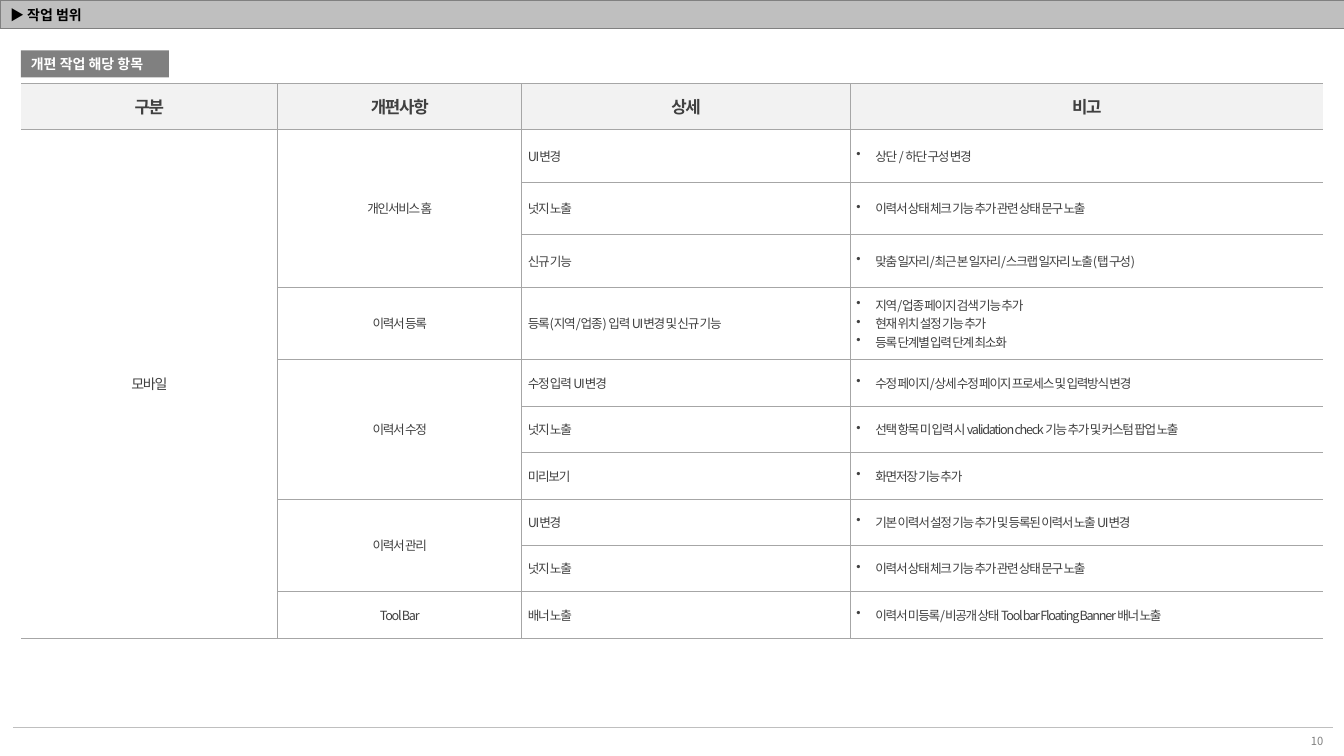
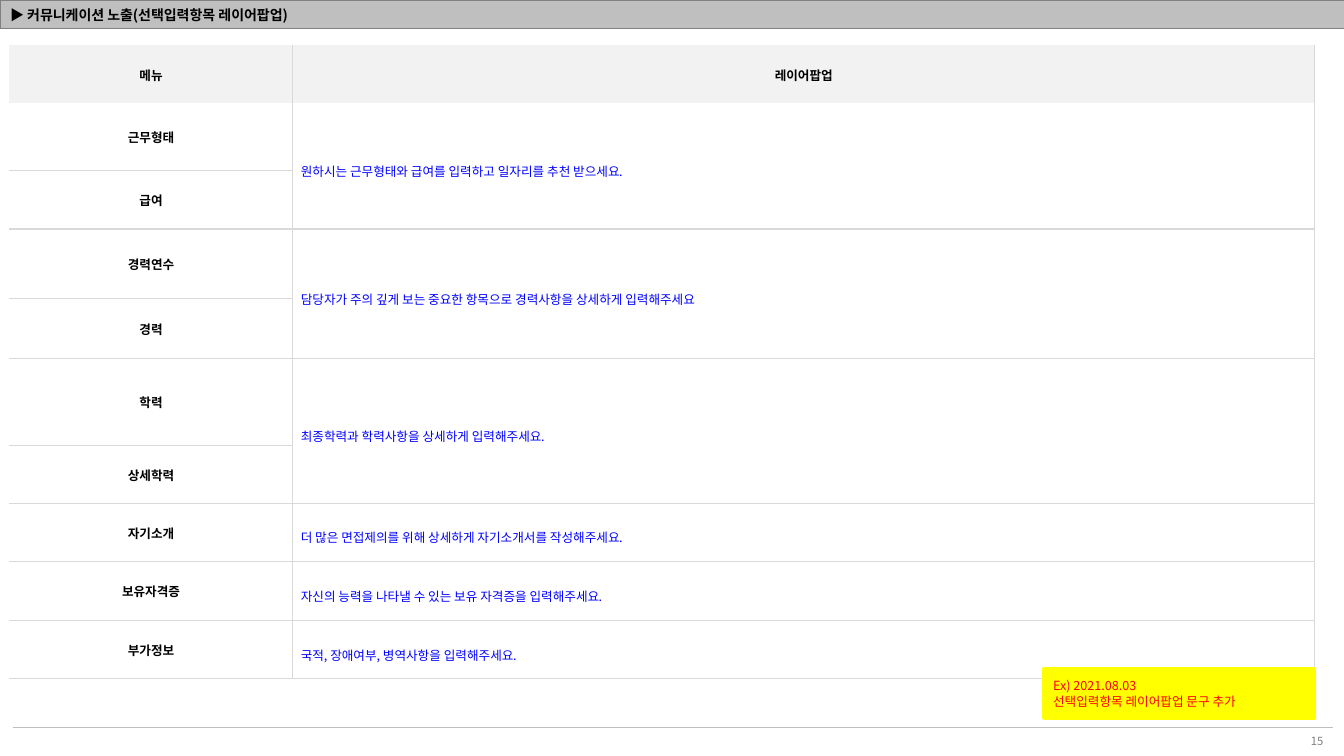
from lxml.etree import SubElement
from pptx import Presentation
from pptx.dml.color import RGBColor
from pptx.enum.shapes import MSO_CONNECTOR, MSO_SHAPE
from pptx.enum.text import MSO_ANCHOR, MSO_AUTO_SIZE, PP_ALIGN
from pptx.oxml import parse_xml
from pptx.oxml.ns import nsdecls, qn
from pptx.util import Cm, Pt

FONT = "Noto Sans CJK KR"
PLAIN_TABLE = "{2D5ABB26-0587-4C30-8999-92F81FD0307C}"
COLORS = {
    "black": "000000", "white": "FFFFFF", "text": "404040", "label": "808080",
    "band": "BFBFBF", "grid": "A6A6A6", "pale_grid": "D9D9D9", "header": "F2F2F2",
    "message": "0000FF", "note": "FFFF00", "note_text": "FF0000",
}

# Text styles: size and bold go to the font; the rest is read by write()
TITLE = {"size": 10, "bold": True, "color": "black"}
LABEL = {"size": 10, "bold": True, "color": "white"}
PAGE = {"size": 8, "color": "label", "align": PP_ALIGN.RIGHT}
NOTE = {"size": 9, "color": "note_text"}
SCOPE_HEAD = {"size": 12, "bold": True, "color": "text", "spacing": -90,
              "align": PP_ALIGN.CENTER}
SCOPE_DEVICE = {**SCOPE_HEAD, "size": 10, "bold": False}
SCOPE_MENU = {**SCOPE_DEVICE, "size": 9}
SCOPE_DETAIL = {**SCOPE_MENU, "align": PP_ALIGN.JUSTIFY}
SCOPE_REMARK = {**SCOPE_DETAIL, "bullet": True}
POPUP_MENU = {"size": 9, "bold": True, "color": "black", "align": PP_ALIGN.CENTER}
POPUP_MESSAGE = {"size": 9, "color": "message", "line_spacing": 1.5}

SCOPE_CELL = {side: Cm(0.15) for side in
              ("margin_left", "margin_right", "margin_top", "margin_bottom")}
POPUP_CELL = {"margin_left": Cm(0.03), "margin_right": Cm(0.03),
              "margin_top": Cm(0.03), "margin_bottom": 0}
NO_MARGIN = dict.fromkeys(SCOPE_CELL, 0)

SCOPE_HEADINGS = ["구분", "개편사항", "상세", "비고"]
# Menu, row height in cm, then each detail with its remarks
SCOPE_GROUPS = [
    ("개인서비스 홈", 1.32, [
        ("UI변경", ["상단 / 하단 구성 변경"]),
        ("넛지 노출", ["이력서 상태 체크 기능 추가 관련 상태 문구 노출"]),
        ("신규 기능", ["맞춤 일자리/최근 본 일자리/스크랩 일자리 노출(탭 구성)"]),
    ]),
    ("이력서 등록", 1.83, [
        ("등록(지역/업종) 입력 UI변경 및 신규 기능",
         ["지역/업종 페이지 검색 기능 추가", "현재 위치 설정 기능 추가",
          "등록 단계별 입력 단계 최소화"]),
    ]),
    ("이력서 수정", 1.17, [
        ("수정 입력 UI변경", ["수정 페이지/상세 수정 페이지 프로세스 및 입력방식 변경"]),
        ("넛지 노출",
         ["선택 항목 미 입력 시 validation check 기능 추가 및 커스텀 팝업 노출"]),
        ("미리보기", ["화면저장 기능 추가"]),
    ]),
    ("이력서 관리", 1.17, [
        ("UI변경", ["기본 이력서 설정 기능 추가 및 등록된 이력서 노출 UI변경"]),
        ("넛지 노출", ["이력서 상태 체크 기능 추가 관련 상태 문구 노출"]),
    ]),
    ("Tool Bar", 1.17, [
        ("배너 노출", ["이력서 미등록/비공개 상태 Tool bar Floating Banner 배너 노출"]),
    ]),
]

POPUP_HEADINGS = ["메뉴", "레이어팝업"]
# Menus with their row heights in cm, then the message they share
POPUP_GROUPS = [
    ([("근무형태", 1.7), ("급여", 1.47)],
     "원하시는 근무형태와 급여를 입력하고 일자리를 추천 받으세요."),
    ([("경력연수", 1.76), ("경력", 1.5)],
     "담당자가 주의 깊게 보는 중요한 항목으로 경력사항을 상세하게 입력해주세요"),
    ([("학력", 2.19), ("상세학력", 1.46)],
     "최종학력과 학력사항을 상세하게 입력해주세요."),
    ([("자기소개", 1.46)],
     "더 많은 면접제의를 위해 상세하게 자기소개서를 작성해주세요."),
    ([("보유자격증", 1.5)],
     "자신의 능력을 나타낼 수 있는 보유 자격증을 입력해주세요."),
    ([("부가정보", 1.46)], "국적, 장애여부, 병역사항을 입력해주세요."),
]


def rgb(name):
    return RGBColor.from_string(COLORS[name])


def apply(target, values):
    for name, value in values.items():
        setattr(target, name, value)


def add_bullet(paragraph):
    properties = paragraph._p.get_or_add_pPr()
    properties.set("marL", str(Cm(0.48)))
    properties.set("indent", str(-Cm(0.48)))
    SubElement(properties, qn("a:buChar")).set("char", "•")


def write(frame, lines, style):
    """Fill a text frame with one styled paragraph per line."""
    for index, line in enumerate(lines):
        paragraph = frame.add_paragraph() if index else frame.paragraphs[0]
        apply(paragraph, {"alignment": style.get("align", PP_ALIGN.LEFT),
                          "line_spacing": style.get("line_spacing")})
        if style.get("bullet"):
            add_bullet(paragraph)
        run = paragraph.add_run()
        run.text = line
        apply(run.font, {"name": FONT, "size": Pt(style["size"]),
                         "bold": style.get("bold", False)})
        run.font.color.rgb = rgb(style["color"])
        run_properties = run._r.get_or_add_rPr()
        SubElement(run_properties, qn("a:ea")).set("typeface", FONT)
        if "spacing" in style:
            run_properties.set("spc", str(style["spacing"]))


def set_borders(cell, sides, color, width):
    """Draw the sides named in a string such as "LTB"."""
    properties = cell._tc.get_or_add_tcPr()
    for index, side in enumerate("LRTB"):
        fill = (f'<a:solidFill><a:srgbClr val="{COLORS[color]}"/></a:solidFill>'
                if side in sides else "<a:noFill/>")
        properties.insert(index, parse_xml(
            f'<a:ln{side} {nsdecls("a")} w="{Pt(width)}">{fill}</a:ln{side}>'))


def add_table(slide, left, top, widths, heights):
    """Add a table without a preset look; lengths are in cm."""
    holder = slide.shapes.add_table(len(heights), len(widths), Cm(left), Cm(top),
                                    Cm(sum(widths)), Cm(sum(heights)))
    table = holder.table
    apply(table, {"first_row": False, "horz_banding": False})
    for style_id in holder.element.iter(qn("a:tableStyleId")):
        style_id.text = PLAIN_TABLE
    for column, width in zip(table.columns, widths):
        column.width = Cm(width)
    for row, height in zip(table.rows, heights):
        row.height = Cm(height)
    return holder


def format_cell(cell, fill, margins):
    apply(cell, {"vertical_anchor": MSO_ANCHOR.MIDDLE, **margins})
    cell.fill.solid()
    cell.fill.fore_color.rgb = rgb(fill)


def format_grid(table, margins, color, width, sides_at):
    """Fill and border every cell; sides_at(row, column) names its borders."""
    for r, row in enumerate(table.rows):
        for c, cell in enumerate(row.cells):
            format_cell(cell, "white" if r else "header", margins)
            set_borders(cell, sides_at(r, c), color, width)


def merge_down(table, column, first, count):
    cell = table.cell(first, column)
    if count > 1:
        cell.merge(table.cell(first + count - 1, column))
    return cell


def add_box(slide, position, fill, lines, style):
    box = slide.shapes.add_shape(MSO_SHAPE.RECTANGLE, *map(Cm, position))
    box.shadow.inherit = False
    box.fill.solid()
    box.fill.fore_color.rgb = rgb(fill)
    box.line.fill.background()
    apply(box.text_frame, {"word_wrap": True, "vertical_anchor": MSO_ANCHOR.MIDDLE})
    write(box.text_frame, lines, style)
    return box


def set_up_layout(layout, slide):
    """Place the title, and move the band and footer rule to the layout."""
    title = layout.placeholders[0]
    apply(title, {"left": 0, "top": 0, "width": Cm(25.2), "height": Cm(0.74)})
    band = add_table(slide, 0, 0, [33.87], [0.72])
    cell = band.table.cell(0, 0)
    format_cell(cell, "band", NO_MARGIN)
    set_borders(cell, "LRTB", "label", 0.25)
    end = SubElement(cell.text_frame.paragraphs[0]._p, qn("a:endParaRPr"))
    end.set("sz", "800")
    rule = slide.shapes.add_connector(MSO_CONNECTOR.STRAIGHT, Cm(0.33), Cm(18.32),
                                      Cm(33.6), Cm(18.32))
    rule.line.color.rgb = rgb("band")
    rule.line.width = Pt(0.75)
    SubElement(rule.element.spPr, qn("a:effectLst"))
    for shared in (band, rule):
        layout.element.cSld.spTree.append(shared.element)


def add_heading(slide, title, page):
    frame = slide.shapes.title.text_frame
    apply(frame, {"word_wrap": True, "auto_size": MSO_AUTO_SIZE.NONE,
                  "vertical_anchor": MSO_ANCHOR.MIDDLE})
    write(frame, [title], TITLE)
    number = slide.shapes.add_textbox(Cm(32.4), Cm(18.39), Cm(1.2), Cm(0.53))
    number.text_frame.word_wrap = True
    write(number.text_frame, [page], PAGE)


def add_scope_table(slide):
    heights = [1.17] + [height for _, height, details in SCOPE_GROUPS for _ in details]
    table = add_table(slide, 0.53, 2.1, [6.47, 6.15, 8.28, 11.92], heights).table
    last = len(SCOPE_HEADINGS) - 1
    format_grid(table, SCOPE_CELL, "grid", 0.5, lambda r, c:
                "TB" + ("L" if c else "") + ("R" if c < last else ""))
    for column, heading in enumerate(SCOPE_HEADINGS):
        write(table.cell(0, column).text_frame, [heading], SCOPE_HEAD)
    device = merge_down(table, 0, 1, len(heights) - 1)
    write(device.text_frame, ["모바일"], SCOPE_DEVICE)
    row = 1
    for menu, _, details in SCOPE_GROUPS:
        write(merge_down(table, 1, row, len(details)).text_frame, [menu], SCOPE_MENU)
        for detail, remarks in details:
            write(table.cell(row, 2).text_frame, [detail], SCOPE_DETAIL)
            write(table.cell(row, 3).text_frame, remarks, SCOPE_REMARK)
            row += 1


def add_popup_table(slide):
    heights = [1.47] + [height for menus, _ in POPUP_GROUPS for _, height in menus]
    table = add_table(slide, 0.23, 1.13, [7.15, 25.75], heights).table
    format_grid(table, POPUP_CELL, "pale_grid", 1, lambda r, c:
                ("LR" if c else "R") + ("B" if r else "") + ("T" if r > 1 else ""))
    for column, heading in enumerate(POPUP_HEADINGS):
        write(table.cell(0, column).text_frame, [heading], POPUP_MENU)
    row = 1
    for menus, message in POPUP_GROUPS:
        popup = merge_down(table, 1, row, len(menus))
        popup.margin_left = Cm(0.2)
        write(popup.text_frame, [message], POPUP_MESSAGE)
        for menu, _ in menus:
            write(table.cell(row, 0).text_frame, [menu], POPUP_MENU)
            row += 1


def main():
    deck = Presentation()
    apply(deck, {"slide_width": Cm(33.87), "slide_height": Cm(19.05)})
    layout = deck.slide_layouts[5]

    scope = deck.slides.add_slide(layout)
    set_up_layout(layout, scope)
    add_heading(scope, "▶ 작업 범위", "10")
    add_scope_table(scope)
    add_box(scope, (0.53, 1.27, 3.73, 0.68), "label", ["개편 작업 해당 항목"], LABEL)

    popups = deck.slides.add_slide(layout)
    add_heading(popups, "▶ 커뮤니케이션 노출(선택입력항목 레이어팝업)", "15")
    add_popup_table(popups)
    note = add_box(popups, (26.29, 16.84, 6.83, 1.27), "note",
                   ["Ex) 2021.08.03", "선택입력항목 레이어팝업 문구 추가"], NOTE)
    note.line.color.rgb = rgb("note")
    note.line.width = Pt(2)

    deck.save("out.pptx")


if __name__ == "__main__":
    main()
